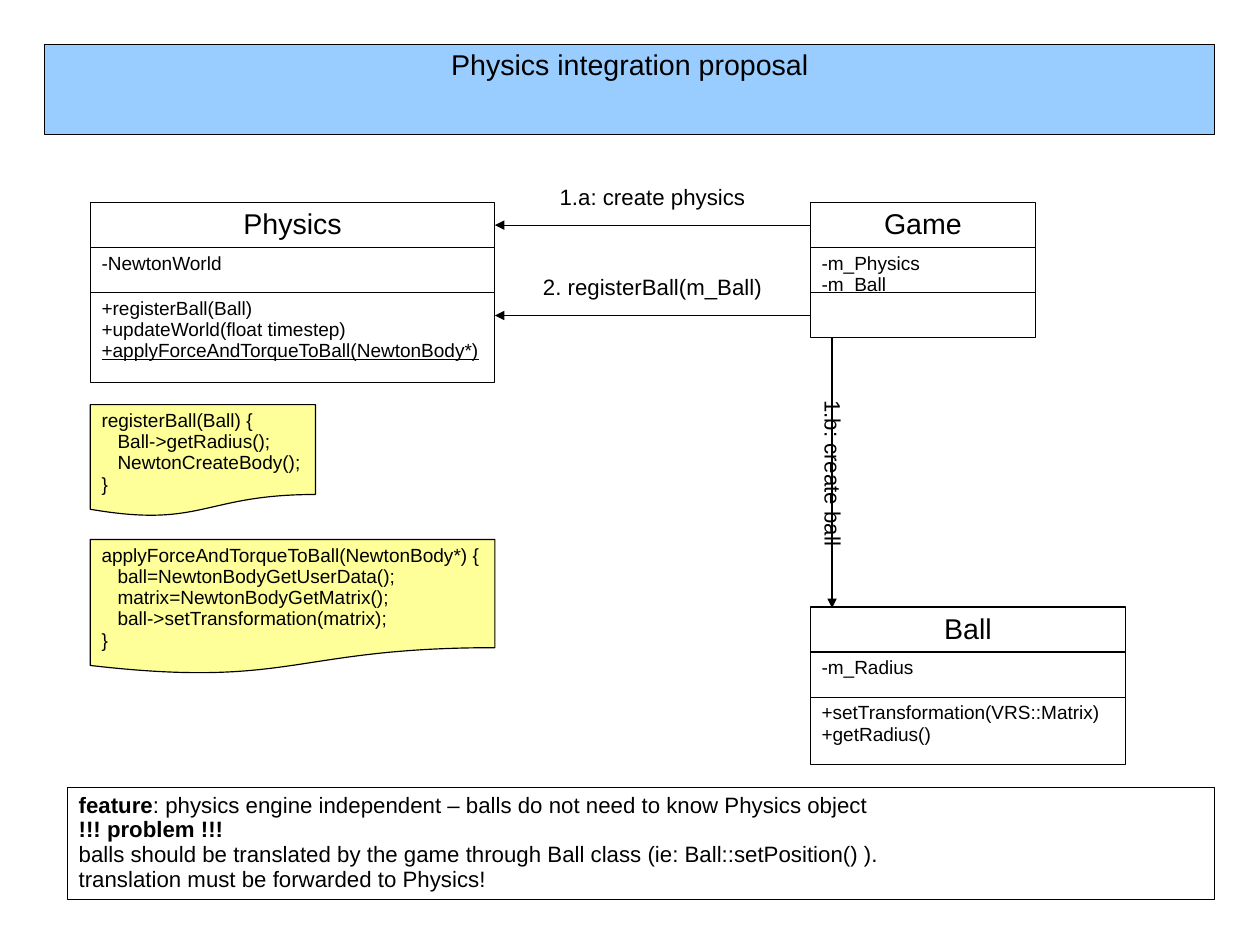
from lxml.etree import SubElement
from pptx import Presentation
from pptx.dml.color import RGBColor
from pptx.enum.shapes import MSO_CONNECTOR as Connector, MSO_SHAPE as Shape
from pptx.enum.text import MSO_ANCHOR as Anchor, MSO_AUTO_SIZE as AutoSize, PP_ALIGN as Align
from pptx.oxml.ns import qn
from pptx.util import Inches, Pt

COLORS = {"black": "000000", "white": "FFFFFF", "title": "99CCFF", "note": "FFFF99"}
FONT = "Arial"
LINE_WIDTH = 0.74
ROW = 0.79 / 2
SPACE_WIDTH = 0.14 / 3

TITLE = ("Physics integration proposal", (0.39, 0.39, 10.24, 0.79))
STATIC_METHOD = "+applyForceAndTorqueToBall(NewtonBody*)"
BOLD = ("feature", "!!! problem !!!")

CLASSES = [
    {"name": "Physics", "left": 0.79, "top": 1.77, "width": 3.54,
     "fields": ["-NewtonWorld"],
     "methods": ["+registerBall(Ball)", "+updateWorld(float timestep)", STATIC_METHOD],
     "methods_height": 0.79},
    {"name": "Game", "left": 7.09, "top": 1.77, "width": 1.97,
     "fields": ["-m_Physics", "-m_Ball"], "methods": [], "methods_height": ROW},
    {"name": "Ball", "left": 7.09, "top": 5.31, "width": 2.76,
     "fields": ["-m_Radius"],
     "methods": ["+setTransformation(VRS::Matrix)", "+getRadius()"],
     "methods_height": 0.59},
]

CODE_NOTES = [
    ((0.79, 3.54, 1.97, 0.98),
     ["registerBall(Ball) {", "   Ball->getRadius();", "   NewtonCreateBody();", "}"]),
    ((0.79, 4.72, 3.54, 1.18),
     ["applyForceAndTorqueToBall(NewtonBody*) {", "   ball=NewtonBodyGetUserData();",
      "   matrix=NewtonBodyGetMatrix();", "   ball->setTransformation(matrix);", "}"]),
]

CALLS = [
    ("1.a: create physics", (7.09, 1.97, 4.33, 1.97), (4.53, 1.57), 0),
    ("2. registerBall(m_Ball)", (7.09, 2.76, 4.33, 2.76), (4.53, 2.36), 0),
    ("1.b: create ball", (7.28, 2.95, 7.28, 5.32), (6.1, 3.98), 90),
]
LABEL_SIZE = (2.36, 0.32)

SUMMARY = ((0.59, 6.89, 10.04, 0.98), [
    "feature|: physics engine independent – balls do not need to know Physics object",
    "!!! problem !!!",
    "balls should be translated by the game through Ball class (ie: Ball::setPosition() ).",
    "translation must be forwarded to Physics!",
])


def color(name):
    return RGBColor.from_string(COLORS[name])


def inches(values):
    return [Inches(value) for value in values]


def write(shape, lines, size, align=Align.LEFT, anchor=Anchor.TOP):
    frame = shape.text_frame
    frame.word_wrap = True
    frame.auto_size = AutoSize.NONE
    frame.vertical_anchor = anchor
    frame.margin_left = frame.margin_right = Inches(0.1)
    frame.margin_top = frame.margin_bottom = Inches(0.05)
    for index, line in enumerate(lines):
        paragraph = frame.paragraphs[0] if index == 0 else frame.add_paragraph()
        paragraph.alignment = align
        paragraph.line_spacing = 0.93
        text = line.lstrip()
        indent = Inches((len(line) - len(text)) * SPACE_WIDTH)
        if indent:
            paragraph._p.get_or_add_pPr().set("marL", str(indent))
        for part in text.split("|"):
            run = paragraph.add_run()
            run.text = part
            run.font.name = FONT
            run.font.size = Pt(size)
            run.font.color.rgb = color("black")
            run.font.bold = part in BOLD
            run.font.underline = part == STATIC_METHOD


def paint(shape, fill):
    shape.fill.solid()
    shape.fill.fore_color.rgb = color(fill)
    shape.line.color.rgb = color("black")
    shape.line.width = Pt(LINE_WIDTH)


def add_box(box, lines, size, fill="white", kind=Shape.RECTANGLE, **layout):
    shape = slide.shapes.add_shape(kind, *inches(box))
    shape.shadow.inherit = False
    paint(shape, fill)
    write(shape, lines, size, **layout)


def add_class(name, left, top, width, fields, methods, methods_height):
    add_box((left, top, width, ROW), [name], 18, align=Align.CENTER, anchor=Anchor.MIDDLE)
    add_box((left, top + ROW, width, ROW), fields, 12)
    add_box((left, top + 2 * ROW, width, methods_height), methods, 12)


def add_call(text, ends, position, rotation):
    arrow = slide.shapes.add_connector(Connector.STRAIGHT, *inches(ends))
    arrow.line.color.rgb = color("black")
    arrow.line.width = Pt(LINE_WIDTH)
    SubElement(arrow.line._get_or_add_ln(), qn("a:tailEnd"), type="triangle")
    SubElement(arrow._element.spPr, qn("a:effectLst"))
    label = slide.shapes.add_textbox(*inches(position + LABEL_SIZE))
    label.rotation = rotation
    write(label, [text], 14, align=Align.CENTER, anchor=Anchor.MIDDLE)


presentation = Presentation()
presentation.slide_width = Pt(793.75)
presentation.slide_height = Pt(595.25)
slide = presentation.slides.add_slide(presentation.slide_layouts[5])

title = slide.shapes.title
title.left, title.top, title.width, title.height = inches(TITLE[1])
paint(title, "title")
write(title, [TITLE[0]], 18, align=Align.CENTER)

for uml_class in CLASSES:
    add_class(**uml_class)
for call in CALLS:
    add_call(*call)
for box, lines in CODE_NOTES:
    add_box(box, lines, 12, fill="note", kind=Shape.FLOWCHART_DOCUMENT)
add_box(*SUMMARY, 14)

presentation.save("out.pptx")
